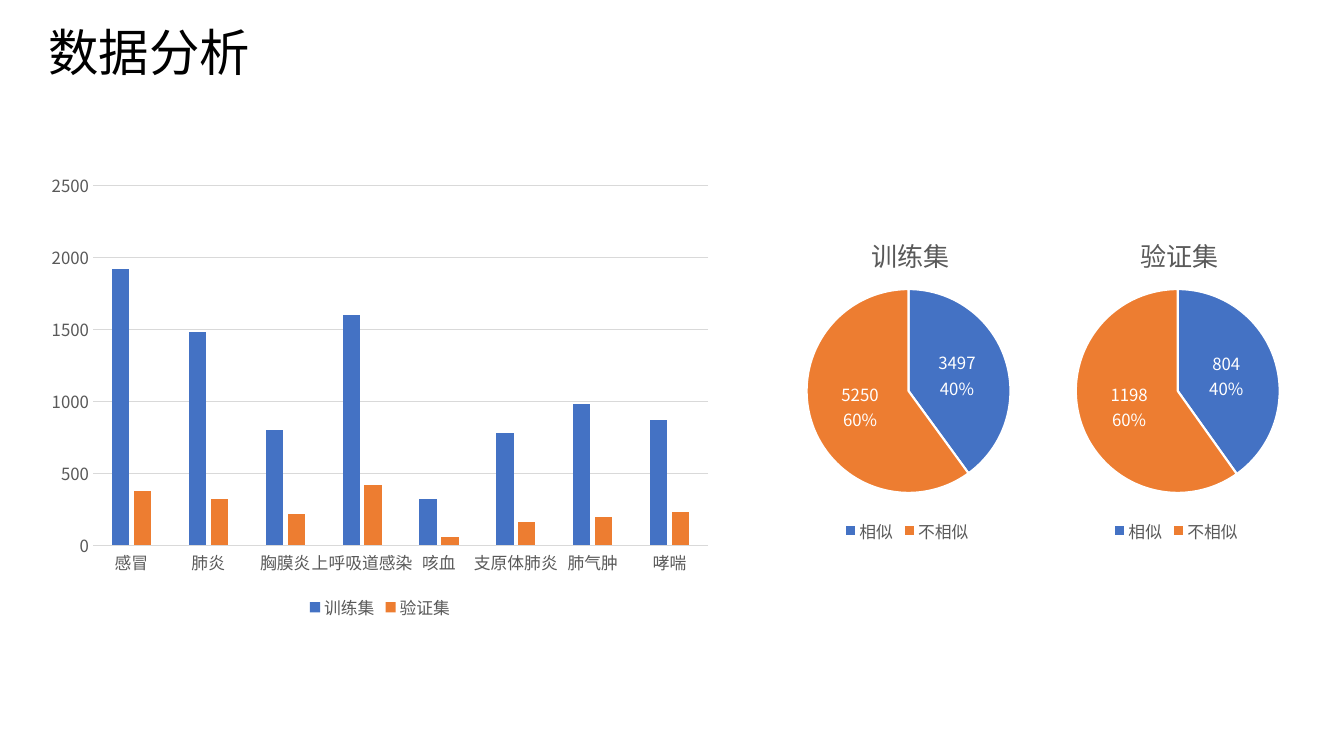
from dataclasses import dataclass

from lxml import etree
from pptx import Presentation
from pptx.chart.data import CategoryChartData
from pptx.dml.color import RGBColor
from pptx.enum.chart import XL_CHART_TYPE, XL_LABEL_POSITION, XL_LEGEND_POSITION, XL_TICK_MARK
from pptx.enum.text import MSO_ANCHOR
from pptx.oxml.ns import qn
from pptx.util import Inches, Pt


@dataclass(frozen=True)
class Theme:
    font: str = "Noto Sans CJK SC"
    black: str = "000000"
    white: str = "FFFFFF"
    grey: str = "595959"
    grid: str = "D9D9D9"
    series: tuple = ("4472C4", "ED7D31")
    title: float = 36
    chart_title: float = 18.6
    label: float = 12


def set_layout(parent, index, inner=False, **box):
    """Place a chart part by fractions of the chart area."""
    for old in parent.findall(qn("c:layout")):
        parent.remove(old)
    layout = etree.Element(qn("c:layout"))
    manual = etree.SubElement(layout, qn("c:manualLayout"))
    if inner:
        etree.SubElement(manual, qn("c:layoutTarget")).set("val", "inner")
    for key in ("x", "y"):
        etree.SubElement(manual, qn(f"c:{key}Mode")).set("val", "edge")
    for key, value in box.items():
        etree.SubElement(manual, qn(f"c:{key}")).set("val", str(value))
    parent.insert(index, layout)


class SlideBuilder:
    def __init__(self, slide, theme):
        self.slide, self.theme = slide, theme

    def format_font(self, font, size, color):
        font.name = self.theme.font
        font.size = Pt(size)
        font.bold = False
        font.color.rgb = RGBColor.from_string(color)
        etree.SubElement(font._rPr, qn("a:ea")).set("typeface", self.theme.font)

    def add_run(self, p, text, *, size, color):
        r = p.add_run()
        r.text = text
        self.format_font(r.font, size, color)

    def title(self, text, x, y, w, h):
        sp = self.slide.shapes.add_textbox(Inches(x), Inches(y), Inches(w), Inches(h))
        tf = sp.text_frame
        tf.word_wrap = True
        tf.vertical_anchor = MSO_ANCHOR.MIDDLE
        p = tf.paragraphs[0]
        p.line_spacing = 0.9
        self.add_run(p, text, size=self.theme.title, color=self.theme.black)

    def chart(self, kind, categories, series, x, y, w, h):
        data = CategoryChartData()
        data.categories = categories
        for name, values in series.items():
            data.add_series(name, values)
        frame = self.slide.shapes.add_chart(
            kind, Inches(x), Inches(y), Inches(w), Inches(h), data)
        chart = frame.chart
        t = self.theme
        self.format_font(chart.font, t.label, t.grey)
        chart.has_title = False
        chart.has_legend = True
        chart.legend.position = XL_LEGEND_POSITION.BOTTOM
        chart.legend.include_in_layout = False
        self.format_font(chart.legend.font, t.label, t.grey)
        return chart

    def fill(self, part, color):
        part.format.fill.solid()
        part.format.fill.fore_color.rgb = RGBColor.from_string(color)

    def line(self, line, color, width):
        line.color.rgb = RGBColor.from_string(color)
        line.width = Pt(width)

    def columns(self, categories, series, *box):
        t = self.theme
        chart = self.chart(XL_CHART_TYPE.COLUMN_CLUSTERED, categories, series, *box)
        plot = chart.plots[0]
        plot.vary_by_categories = False
        plot.gap_width, plot.overlap = 219, -27
        for s, color in zip(plot.series, t.series):
            self.fill(s, color)
        for axis in (chart.category_axis, chart.value_axis):
            axis.major_tick_mark = axis.minor_tick_mark = XL_TICK_MARK.NONE
            self.format_font(axis.tick_labels.font, t.label, t.grey)
        self.line(chart.category_axis.format.line, t.grid, 0.75)
        axis = chart.value_axis
        axis.minimum_scale, axis.maximum_scale, axis.major_unit = 0, 2500, 500
        axis.format.line.fill.background()
        self.line(axis.major_gridlines.format.line, t.grid, 0.75)
        set_layout(plot._element.getparent(), 0, inner=True, x=0.08, y=0.05, w=0.9, h=0.78)

    def pie(self, title, categories, values, *box):
        t = self.theme
        chart = self.chart(XL_CHART_TYPE.PIE, categories, {title: values}, *box)
        chart.has_title = True
        p = chart.chart_title.text_frame.paragraphs[0]
        self.add_run(p, title, size=t.chart_title, color=t.grey)
        set_layout(chart.chart_title._element, 1, x=0.38, y=0.06)
        plot = chart.plots[0]
        plot.vary_by_categories = True
        for i, color in enumerate(t.series):
            point = plot.series[0].points[i]
            self.fill(point, color)
            self.line(point.format.line, t.white, 1.5)
        labels = plot.series[0].data_labels
        labels.show_value = labels.show_percentage = True
        labels.position = XL_LABEL_POSITION.CENTER
        self.format_font(labels.font, t.label, t.white)
        separator = etree.Element(qn("c:separator"))
        separator.text = "\n"
        labels._element.find(qn("c:showBubbleSize")).addnext(separator)
        set_layout(plot._element.getparent(), 0, inner=True, x=0.2, y=0.24, w=0.61, h=0.6)


def main():
    prs = Presentation()
    prs.slide_width, prs.slide_height = Inches(13.33), Inches(7.5)
    s = SlideBuilder(prs.slides.add_slide(prs.slide_layouts[6]), Theme())
    s.title("数据分析", 0.38, 0.17, 10.44, 0.76)

    diseases = ["感冒", "肺炎", "胸膜炎", "上呼吸道感染", "咳血", "支原体肺炎", "肺气肿", "哮喘"]
    cases = {
        "训练集": [1920, 1480, 800, 1600, 320, 780, 980, 870],
        "验证集": [380, 320, 220, 420, 60, 160, 200, 230],
    }
    s.columns(diseases, cases, 0.38, 1.61, 6.78, 4.58)

    similarity = {"训练集": [3497, 5250], "验证集": [804, 1198]}
    for i, (name, values) in enumerate(similarity.items()):
        s.pie(name, ["相似", "不相似"], values, 7.33 + 2.67 * i, 2.06, 3.33, 3.37)
    prs.save("out.pptx")


if __name__ == "__main__":
    main()
